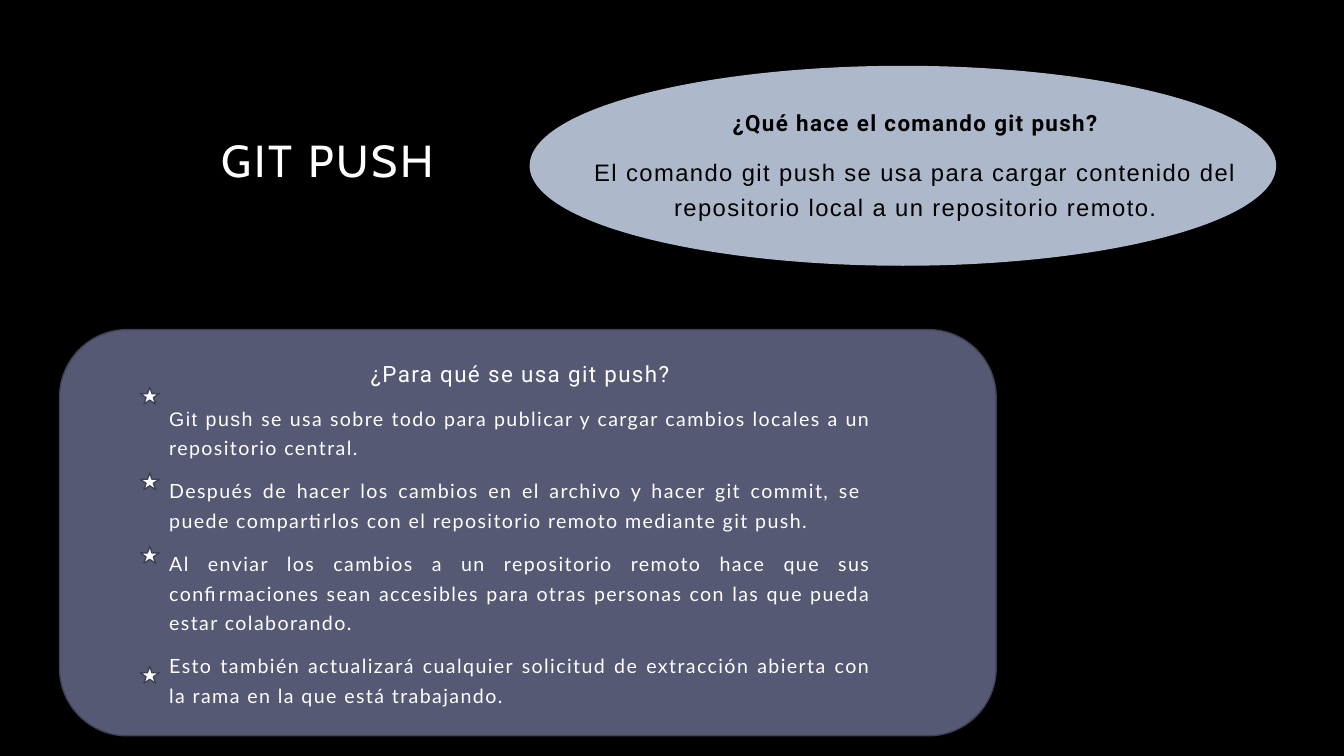
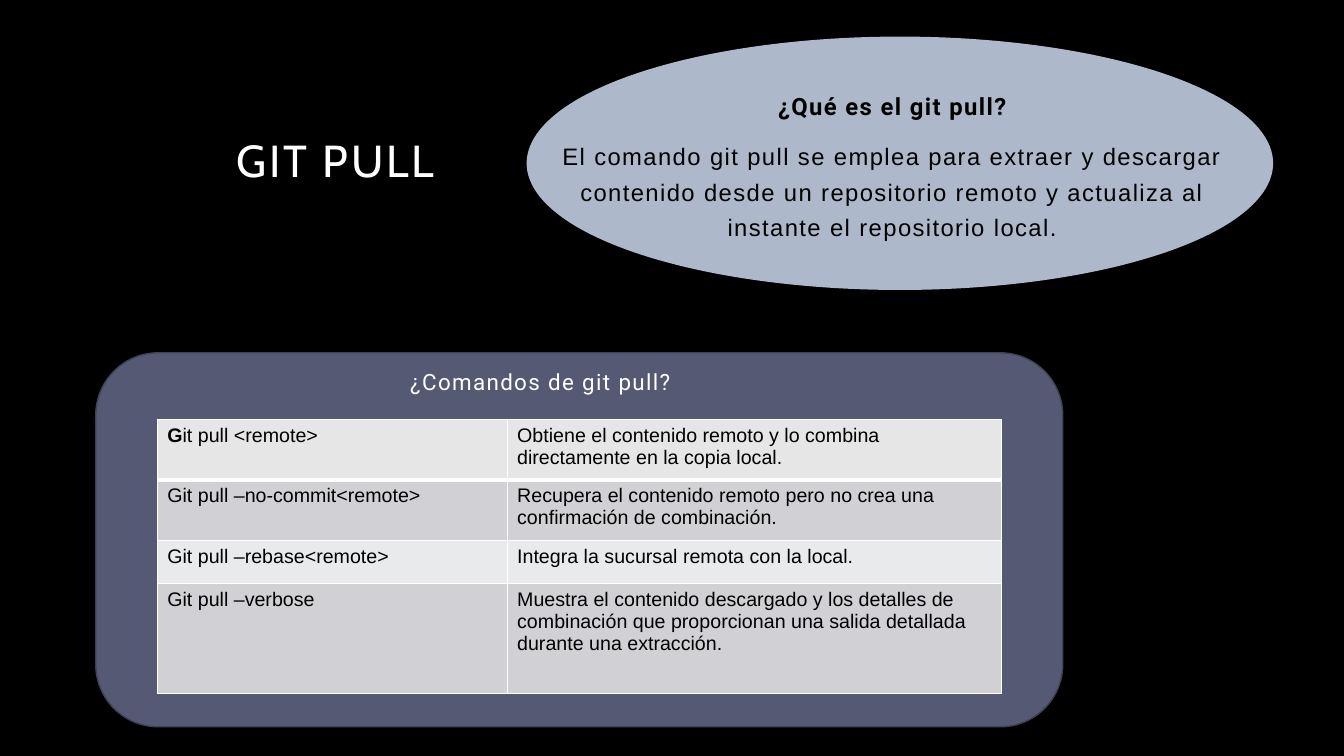
from lxml.etree import SubElement
from pptx import Presentation
from pptx.dml.color import RGBColor
from pptx.enum.shapes import MSO_SHAPE as Shape
from pptx.enum.text import MSO_ANCHOR as Anchor, PP_ALIGN as Align
from pptx.oxml.ns import qn
from pptx.util import Inches, Pt

COLORS = {
    "background": "000000",
    "panel": "555973",
    "outline": "3F4255",
    "oval": "ADB9CA",
    "light": "FFFFFF",
    "dark": "000000",
    "header_row": "E7E6E6",
    "odd_row": "D1D1D5",
    "even_row": "E9EAEB",
}


def color(name):
    return RGBColor.from_string(COLORS[name])


# Text
def style(text, size, font, ink, bold=False, spacing=0):
    return dict(text=text, size=size, font=font, ink=ink, bold=bold, spacing=spacing)


def write_spans(para, spans):
    for item in spans:
        span = para.add_run()
        span.text = item["text"]
        span.font.size = Pt(item["size"])
        span.font.name = item["font"]
        span.font.bold = item["bold"]
        span.font.color.rgb = color(item["ink"])
        if item["spacing"]:
            span._r.get_or_add_rPr().set("spc", str(item["spacing"] * 100))


def add_text(page, place, paragraphs, anchor=Anchor.MIDDLE, line_spacing=1.25, before=10):
    """Add a text box; paragraphs is a list of (alignment, spans)."""
    frame = page.shapes.add_textbox(*map(Inches, place)).text_frame
    frame.word_wrap = True
    frame.vertical_anchor = anchor
    for index, (align, spans) in enumerate(paragraphs):
        para = frame.add_paragraph() if index else frame.paragraphs[0]
        para.alignment = align
        para.line_spacing = line_spacing
        para.space_before = Pt(before)
        write_spans(para, spans)


def add_title(page, text):
    spans = [style(text, 32, "Cabin", "light", spacing=2)]
    add_text(page, (1.21, 1.08, 3.2, 1.07), [(Align.RIGHT, spans)],
             line_spacing=0.9, before=0)


def add_definition(page, place, question, answer, question_size):
    add_text(page, place, [
        (Align.CENTER, [style(question, question_size, "Roboto", "dark", True, 1)]),
        (Align.CENTER, [style(answer, 17, "Arial", "dark", spacing=1)]),
    ])


def panel_heading(text):
    return [style(text, 16, "Roboto", "light", spacing=1)]


# Shapes
def add_figure(page, kind, place, fill, line):
    figure = page.shapes.add_shape(kind, *map(Inches, place))
    figure.shadow.inherit = False
    figure.fill.solid()
    figure.fill.fore_color.rgb = color(fill)
    figure.line.color.rgb = color(line)
    figure.line.width = Pt(1)


def add_backdrop(page, panel, oval):
    add_figure(page, Shape.ROUNDED_RECTANGLE, panel, "panel", "outline")
    add_figure(page, Shape.OVAL, oval, "oval", "oval")


# Table
def set_border(cell, side, width):
    line = SubElement(cell._tc.get_or_add_tcPr(), qn(f"a:ln{side}"), w=str(Pt(width)))
    fill = SubElement(line, qn("a:solidFill"))
    SubElement(fill, qn("a:srgbClr"), val=COLORS["light"])


def add_command_table(page, place, widths, heights, rows):
    frame = page.shapes.add_table(len(rows), len(widths), *map(Inches, place))
    table = frame.table
    for column, width in zip(table.columns, widths):
        column.width = Inches(width)
    for index, (row, height) in enumerate(zip(table.rows, heights)):
        row.height = Inches(height)
        band = "odd_row" if index % 2 else "even_row"
        for cell, spans in zip(row.cells, rows[index]):
            write_spans(cell.text_frame.paragraphs[0], spans)
            # Borders come before the fill in the cell properties
            for side in "LRTB":
                under_header = (index, side) in ((0, "B"), (1, "T"))
                set_border(cell, side, 3 if under_header else 1)
            cell.fill.solid()
            cell.fill.fore_color.rgb = color(band if index else "header_row")


# Slides
def build_push(page):
    add_backdrop(page, (0.59, 3.27, 9.29, 4.03), (5.26, 0.66, 7.39, 1.97))
    add_title(page, "GIT PUSH")
    add_definition(
        page, (5.51, 0.76, 7.14, 1.7), "¿Qué hace el comando git push?",
        "El comando git push se usa para cargar contenido del repositorio local "
        "a un repositorio remoto.", 16)

    def point(text):
        return style(text, 14, "Lato", "light", spacing=1)

    uses = [
        [style("Git push ", 14, "Arial", "light", spacing=1),
         point("se usa sobre todo para publicar y cargar cambios locales "
               "a un repositorio central.")],
        [point("Después de hacer los cambios en el archivo y hacer git commit, se  "
               "puede compartirlos con el repositorio remoto mediante git push.")],
        [point("Al enviar los cambios a un repositorio remoto hace que sus "
               "confirmaciones sean accesibles para otras personas con las que "
               "pueda estar colaborando.")],
        [point("Esto también actualizará cualquier solicitud de extracción abierta "
               "con la rama en la que está trabajando.")],
    ]
    heading = (Align.CENTER, panel_heading("¿Para qué se usa git push?"))
    add_text(page, (1.58, 3.43, 7.16, 3.66),
             [heading] + [(Align.JUSTIFY, spans) for spans in uses])
    for top in (3.84, 4.69, 5.42, 6.61):
        add_figure(page, Shape.STAR_5_POINT, (1.39, top, 0.19, 0.17), "light", "outline")


def build_pull(page):
    add_backdrop(page, (0.95, 3.5, 9.59, 3.71), (5.23, 0.37, 7.39, 2.5))
    add_title(page, "GIT PULL")
    add_definition(
        page, (5.41, 0.77, 6.88, 1.7), "¿Qué es el git pull?",
        "El comando git pull se emplea para extraer y descargar contenido desde un "
        "repositorio remoto y actualiza al instante el repositorio local.", 17)
    add_text(page, (3.97, 3.54, 3.55, 0.69),
             [(Align.LEFT, panel_heading("¿Comandos de git pull?"))], Anchor.TOP)

    def entry(text, bold=False):
        return style(text, 14, "Arial", "dark", bold)

    rows = [
        ([entry("G", True), entry("it pull <remote>")],
         [entry("Obtiene el contenido remoto y lo combina directamente "
                "en la copia local.")]),
        ([entry("Git pull –no-commit<remote>")],
         [entry("Recupera el contenido remoto pero no crea una confirmación "
                "de combinación.")]),
        ([entry("Git pull –rebase<remote>")],
         [entry("Integra la sucursal remota con la local.")]),
        ([entry("Git pull –verbose")],
         [entry("Muestra el contenido descargado y los detalles de combinación que "
                "proporcionan una salida detallada durante una extracción.")]),
    ]
    add_command_table(page, (1.56, 4.16, 8.37, 2.72), (3.47, 4.9),
                      (0.6, 0.6, 0.43, 1.09), rows)


def main():
    deck = Presentation()
    deck.slide_width, deck.slide_height = Inches(13.33), Inches(7.5)
    # Shared background
    backdrop = deck.slide_master.background.fill
    backdrop.solid()
    backdrop.fore_color.rgb = color("background")
    for build in (build_push, build_pull):
        build(deck.slides.add_slide(deck.slide_layouts[6]))
    deck.save("out.pptx")


if __name__ == "__main__":
    main()
